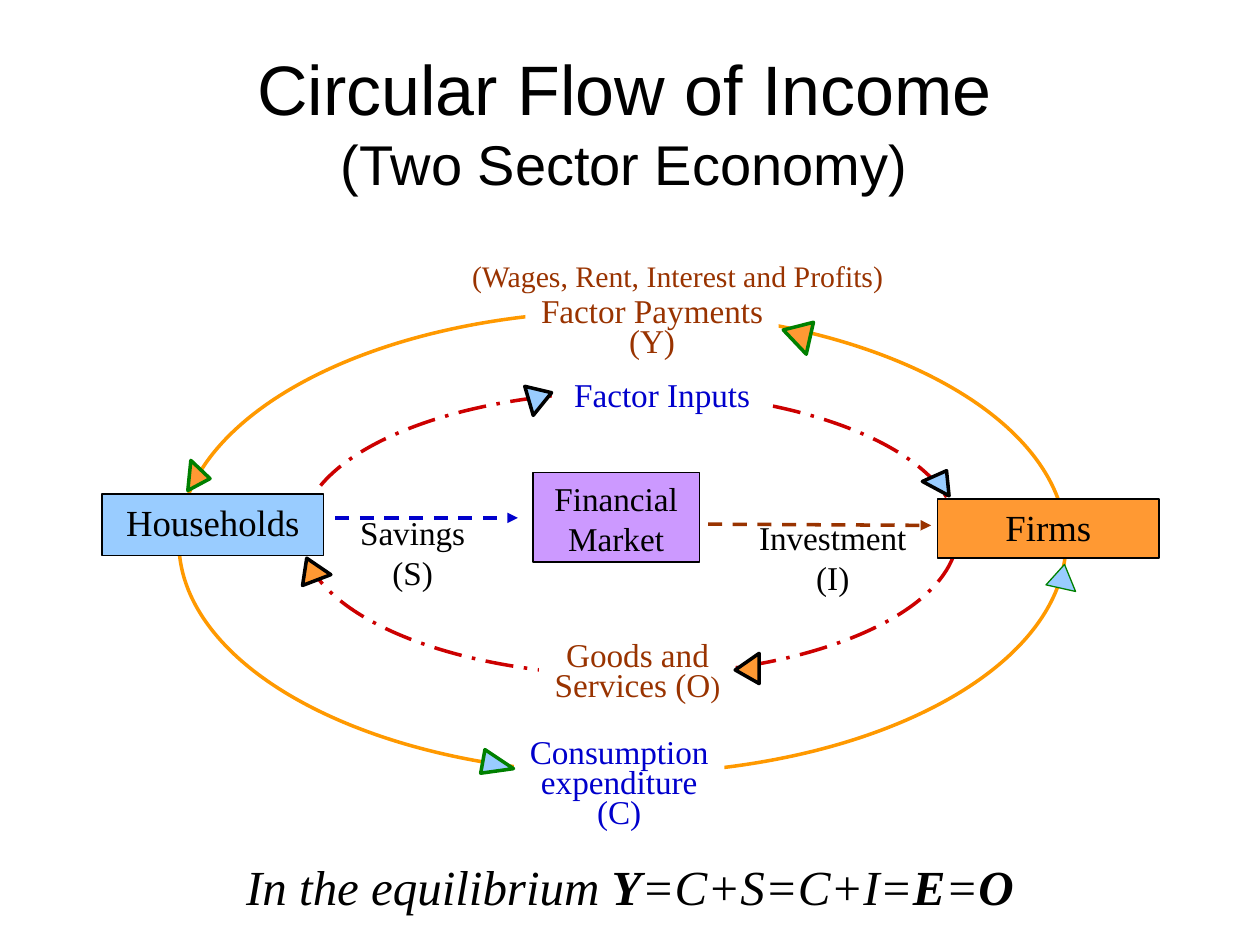
from dataclasses import dataclass

from lxml import etree
from pptx import Presentation
from pptx.dml.color import RGBColor
from pptx.enum import dml, shapes, text
from pptx.oxml.ns import qn
from pptx.util import Inches, Pt


@dataclass(frozen=True)
class Theme:
    heading_font: str = "Arial"
    body_font: str = "Times New Roman"
    black: str = "000000"
    white: str = "FFFFFF"
    orange: str = "FF9933"
    ring_orange: str = "FF9900"
    ring_red: str = "CC0000"
    sky: str = "99CCFF"
    violet: str = "CC99FF"
    green: str = "008000"
    brown: str = "993300"
    blue: str = "0000CC"
    title: int = 40
    subtitle: int = 32
    equilibrium: int = 28
    sector: int = 21
    label: int = 19
    note: int = 17
    flow_line: float = 2
    thin_line: float = 0.75


THEME = Theme()


def rgb(value):
    return RGBColor.from_string(value)


def style_font(font, size, color=THEME.black, name=THEME.body_font):
    font.size, font.name = Pt(size), name
    font.color.rgb = rgb(color)


def style_line(line, color, width, dash=None):
    line.color.rgb = rgb(color)
    line.width = Pt(width)
    if dash:
        line.dash_style = dash


def add_figure(slide, kind, box, fill=None, line=None, width=THEME.thin_line, dash=None):
    figure = slide.shapes.add_shape(kind, *map(Inches, box))
    figure.shadow.inherit = False
    if fill:
        figure.fill.solid()
        figure.fill.fore_color.rgb = rgb(fill)
    else:
        figure.fill.background()
    if line:
        style_line(figure.line, line, width, dash)
    else:
        figure.line.fill.background()
    return figure


def write(shape, lines, size, color=THEME.black, spacing=None):
    """Fill a shape with centred paragraphs, starting at its top."""
    frame = shape.text_frame
    frame.word_wrap = True
    frame.vertical_anchor = text.MSO_ANCHOR.TOP
    frame.text = "\n".join(lines)
    for paragraph in frame.paragraphs:
        paragraph.alignment = text.PP_ALIGN.CENTER
        paragraph.line_spacing = spacing
        style_font(paragraph.font, size, color)
    return frame


def add_text(slide, box, lines, size, color=THEME.black):
    return write(slide.shapes.add_textbox(*map(Inches, box)), lines, size, color)


def add_sector(slide, box, name, fill, size=THEME.sector):
    sector = add_figure(slide, shapes.MSO_SHAPE.RECTANGLE, box, fill, THEME.black)
    write(sector, [name], size)


def add_flow_label(slide, box, lines, color, spacing=0.75):
    """Label on a white patch that interrupts the ring behind it."""
    patch = add_figure(slide, shapes.MSO_SHAPE.RECTANGLE, box, THEME.white)
    return write(patch, lines, THEME.label, color, spacing)


def add_flow_head(slide, box, rotation, apex, fill, line, width=THEME.flow_line):
    head = add_figure(slide, shapes.MSO_SHAPE.ISOSCELES_TRIANGLE, box, fill, line, width)
    head.adjustments[0] = apex
    head.rotation = rotation


def add_arrow(slide, start, end, color):
    arrow = slide.shapes.add_connector(
        shapes.MSO_CONNECTOR.STRAIGHT, *map(Inches, (*start, *end)))
    style_line(arrow.line, color, THEME.flow_line, dml.MSO_LINE.DASH)
    etree.SubElement(arrow.line._get_or_add_ln(), qn("a:tailEnd"), type="triangle")
    etree.SubElement(arrow._element.spPr, qn("a:effectLst"))


def add_title(slide):
    frame = add_text(slide, (0.75, 0.39, 8.41, 1.14), [""], THEME.title)
    frame.vertical_anchor = text.MSO_ANCHOR.MIDDLE
    heading = frame.paragraphs[0]
    for words, size in (("Circular Flow of Income", THEME.title),
                        ("(Two Sector Economy)", THEME.subtitle)):
        if heading.runs:
            heading.add_line_break()
        run = heading.add_run()
        run.text = words
        style_font(run.font, size, name=THEME.heading_font)


def add_equilibrium(slide):
    frame = add_text(slide, (0.75, 6.75, 8.5, 0.58), [""], THEME.equilibrium)
    equation = frame.paragraphs[0]
    equation.font.italic = True
    for words, bold in (("In the equilibrium ", False), ("Y", True), ("=C+S=C+I=", False),
                        ("E", True), ("=", False), ("O", True)):
        run = equation.add_run()
        run.text = words
        run.font.bold = bold


def add_rings(slide):
    oval = shapes.MSO_SHAPE.OVAL
    add_figure(slide, oval, (1.42, 2.47, 7.04, 3.67), THEME.white,
               THEME.ring_orange, THEME.flow_line)
    add_figure(slide, oval, (2.39, 3.11, 5.21, 2.25), None,
               THEME.ring_red, THEME.flow_line, dml.MSO_LINE.LONG_DASH_DOT)


def add_flow_labels(slide):
    add_text(slide, (3.5, 2, 3.76, 0.33), ["(Wages, Rent, Interest and Profits)"],
             THEME.note, THEME.brown)
    add_flow_label(slide, (4.17, 2.33, 2.01, 0.58), ["Factor Payments", "(Y)"], THEME.brown)
    add_flow_label(slide, (4.08, 5.83, 1.67, 0.58), ["Consumption expenditure", "(C)"],
                   THEME.blue)
    add_flow_label(slide, (4.38, 2.92, 1.75, 0.42), ["Factor Inputs"], THEME.blue, None)
    goods = add_flow_label(slide, (4.28, 5.06, 1.56, 0.53), ["Goods and Services (O"],
                           THEME.brown)
    bracket = goods.paragraphs[0].add_run()
    bracket.text = ")"
    bracket.font.size = Pt(THEME.note)


def add_flow_heads(slide):
    outer, inner = THEME.green, THEME.black
    for box, rotation, apex, fill, line in (
        ((6.19, 2.55, 0.26, 0.22), 282.7, 0.57, THEME.orange, outer),
        ((1.42, 3.7, 0.21, 0.19), 223.5, 0.3, THEME.orange, outer),
        ((3.86, 5.94, 0.19, 0.25), 100.2, 0.57, THEME.sky, outer),
        ((2.36, 4.42, 0.24, 0.19), 339.1, 0.45, THEME.orange, inner),
        ((5.81, 5.21, 0.24, 0.19), 270, 0.45, THEME.orange, inner),
        ((7.35, 3.77, 0.21, 0.19), 156, 0.3, THEME.sky, inner),
        ((4.17, 3.06, 0.24, 0.19), 73.8, 0.45, THEME.sky, inner),
    ):
        add_flow_head(slide, box, rotation, apex, fill, line)
    add_flow_head(slide, (8.32, 4.48, 0.24, 0.19), 12.6, 0.45, THEME.sky, outer,
                  THEME.thin_line)


def add_financial_flows(slide):
    add_arrow(slide, (2.66, 4.11), (4.11, 4.11), THEME.blue)
    add_arrow(slide, (5.62, 4.16), (7.39, 4.17), THEME.brown)
    add_text(slide, (5.83, 4.06, 1.56, 0.61), ["Investment (I)"], THEME.label)
    add_text(slide, (2.69, 4.02, 1.17, 0.6), ["Savings (S)"], THEME.label)


def main():
    deck = Presentation()
    deck.slide_width, deck.slide_height = Inches(10), Inches(7.5)
    slide = deck.slides.add_slide(deck.slide_layouts[6])
    add_title(slide)
    add_rings(slide)
    add_flow_labels(slide)
    add_sector(slide, (7.44, 3.96, 1.76, 0.47), "Firms", THEME.orange)
    add_sector(slide, (0.81, 3.92, 1.76, 0.49), "Households", THEME.sky)
    add_sector(slide, (4.23, 3.75, 1.32, 0.71), "Financial Market", THEME.violet, THEME.label)
    add_flow_heads(slide)
    add_financial_flows(slide)
    add_equilibrium(slide)
    deck.save("out.pptx")


if __name__ == "__main__":
    main()
